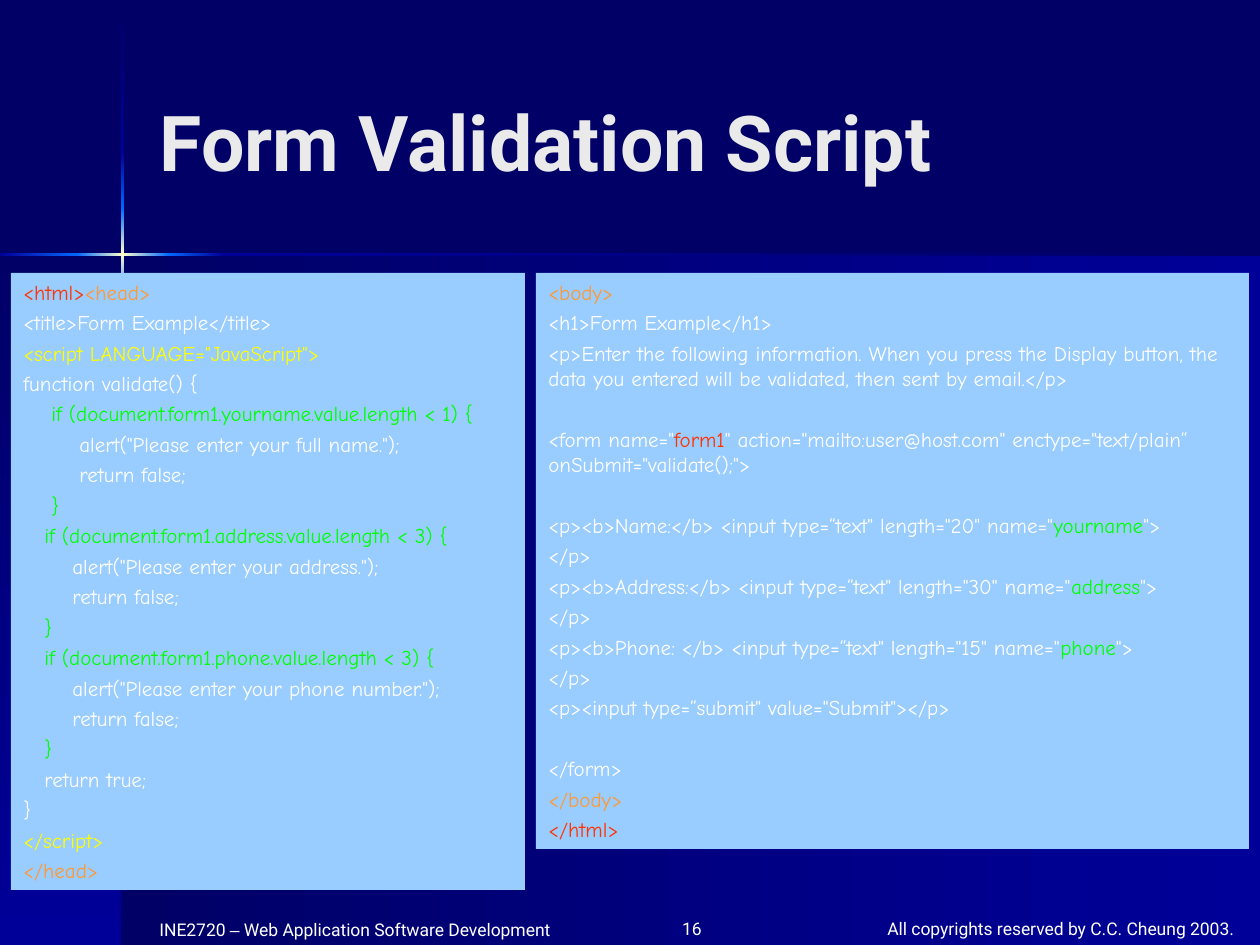
from copy import deepcopy
from pptx import Presentation
from pptx import util as u
from pptx.dml.color import RGBColor
from pptx.enum import shapes, text

NAVY = RGBColor(0x00, 0x00, 0x66)
DEEP = RGBColor(0x00, 0x00, 0x99)
BLUE = RGBColor(0x00, 0x66, 0xFF)
CREAM = RGBColor(0xFF, 0xFF, 0xCC)
SKY = RGBColor(0x99, 0xCC, 0xFF)
PALE = RGBColor(0xEA, 0xEA, 0xEA)
WHITE = RGBColor(0xFF, 0xFF, 0xFF)
RED = RGBColor(0xFF, 0x33, 0x00)
ORANGE = RGBColor(0xFF, 0x99, 0x33)
YELLOW = RGBColor(0xFF, 0xFF, 0x00)
GREEN = RGBColor(0x00, 0xFF, 0x00)

ACROSS, DOWN = 0, 270
SPACE = 7
NEAR, FAR = 3, 20.4

BARS = [
    ((122, 255, 1138, 690), ACROSS, (NAVY, DEEP)),
    ((0, 255, 122, 690), DOWN, (NAVY, DEEP)),
    ((121, 1, 3, 151), DOWN, (NAVY, DEEP)),
    ((121, 355, 3, 590), DOWN, (DEEP, NAVY)),
    ((223, 253, 1037, 3), ACROSS, (DEEP, NAVY)),
    ((121, 152, 3, 56), DOWN, (DEEP, BLUE)),
    ((121, 208, 3, 92), DOWN, (BLUE, CREAM, BLUE)),
    ((0, 253, 77, 3), ACROSS, (DEEP, BLUE)),
    ((169, 253, 54, 3), ACROSS, (BLUE, DEEP)),
    ((77, 253, 92, 3), ACROSS, (BLUE, CREAM, BLUE)),
]

TITLE = ("Form Validation Script", (147, 42, 1040, 198))

FOOTERS = [
    ((147, 913, 420, 32), text.PP_ALIGN.LEFT,
     [("INE2720 ", "Roboto"), ("–", "Arial"),
      (" Web Application Software Development", "Roboto")]),
    ((861, 912, 399, 33), text.PP_ALIGN.CENTER,
     [("All copyrights reserved by C.C. Cheung 2003.", "Roboto")]),
    ((630, 912, 84, 33), text.PP_ALIGN.RIGHT, [("16", "Roboto")]),
]

HEAD = [
    (0, NEAR, [("<html>", RED), ("<head>", ORANGE)]),
    (0, NEAR, [("<title>Form Example</title>", WHITE)]),
    (0, NEAR, [('<script LANGUAGE="JavaScript">', YELLOW)]),
    (0, NEAR, [("function validate() {", WHITE)]),
]
CHECKS = [
    (4, "yourname", 1, "full name"),
    (3, "address", 3, "address"),
    (3, "phone", 3, "phone number"),
]
for dent, field, least, label in CHECKS:
    HEAD += [
        (dent, NEAR,
         [(f"if (document.form1.{field}.value.length < {least}) {{", GREEN)]),
        (dent + 4, NEAR, [(f'alert("Please enter your {label}.");', WHITE)]),
        (dent + 4, NEAR, [("return false;", WHITE)]),
        (dent, NEAR, [("}", GREEN)]),
    ]
HEAD += [
    (3, NEAR, [("return true;", WHITE)]),
    (0, NEAR, [("}", WHITE)]),
    (0, NEAR, [("</script>", YELLOW)]),
    (0, NEAR, [("</head>", ORANGE)]),
]

BODY = [
    (0, NEAR, [("<body>", ORANGE)]),
    (0, NEAR, [("<h1>Form Example</h1>", WHITE)]),
    (0, NEAR, [("<p>Enter the following information. When you press the "
                "Display button, the data you entered will be validated, "
                "then sent by email.</p>", WHITE)]),
    (0, FAR, [('<form name="', WHITE), ("form1", RED),
              ('" action="mailto:user@host.com" enctype="text/plain“ '
               'onSubmit="validate();">', WHITE)]),
]
INPUTS = [
    (FAR, "Name:", 20, "yourname"),
    (NEAR, "Address:", 30, "address"),
    (NEAR, "Phone: ", 15, "phone"),
]
for gap, label, size, field in INPUTS:
    start = f'<p><b>{label}</b> <input type=“text" length="{size}" name="'
    BODY += [
        (0, gap, [(start, WHITE), (field, GREEN), ('">', WHITE)]),
        (0, NEAR, [("</p>", WHITE)]),
    ]
BODY += [
    (0, NEAR, [('<p><input type=“submit" value="Submit"></p>', WHITE)]),
    (0, FAR, [("</form>", WHITE)]),
    (0, NEAR, [("</body>", ORANGE)]),
    (0, NEAR, [("</html>", RED)]),
]

PANELS = [((11, 273, 514, 617), HEAD), ((536, 273, 713, 576), BODY)]


def px(n):
    return u.Emu(round(n * 914400 / 126))


def put(item, **vals):
    for key, val in vals.items():
        setattr(item, key, val)


def write(para, words, size, font, color, bold=False):
    run = para.add_run()
    run.text = words
    put(run.font, size=u.Pt(size), name=font, bold=bold)
    run.font.color.rgb = color


def block(slide, box):
    shape = slide.shapes.add_shape(
        shapes.MSO_SHAPE.RECTANGLE, *map(px, box))
    shape.shadow.inherit = False
    shape.line.fill.background()
    return shape


def draw_bar(slide, box, angle, tones):
    fill = block(slide, box).fill
    fill.gradient()
    fill.gradient_angle = angle
    if len(tones) == 3:
        last = fill.gradient_stops[1]._gs
        last.addprevious(deepcopy(last))
    for i, (stop, tone) in enumerate(zip(fill.gradient_stops, tones)):
        stop.position = i / (len(tones) - 1)
        stop.color.rgb = tone


def draw_code(slide, box, lines):
    shape = block(slide, box)
    shape.fill.solid()
    shape.fill.fore_color.rgb = SKY
    frame = shape.text_frame
    put(frame, word_wrap=True, vertical_anchor=text.MSO_ANCHOR.TOP,
        auto_size=text.MSO_AUTO_SIZE.SHAPE_TO_FIT_TEXT)
    for i, (dent, gap, runs) in enumerate(lines):
        para = frame.add_paragraph() if i else frame.paragraphs[0]
        put(para, alignment=text.PP_ALIGN.LEFT, space_before=u.Pt(gap))
        para._p.get_or_add_pPr().set("marL", str(px(dent * SPACE)))
        for words, tone in runs:
            write(para, words, 12, "Comic Neue", tone)


def main():
    deck = Presentation()
    put(deck, slide_width=px(1260), slide_height=px(945))
    slide = deck.slides.add_slide(deck.slide_layouts[5])
    slide.background.fill.solid()
    slide.background.fill.fore_color.rgb = NAVY
    for bar in BARS:
        draw_bar(slide, *bar)
    for box, align, runs in FOOTERS:
        frame = slide.shapes.add_textbox(*map(px, box)).text_frame
        frame.word_wrap = True
        para = frame.paragraphs[0]
        para.alignment = align
        for words, font in runs:
            write(para, words, 10, font, WHITE)
    words, box = TITLE
    title = slide.shapes.title
    put(title, **dict(zip(("left", "top", "width", "height"), map(px, box))))
    put(title.text_frame, vertical_anchor=text.MSO_ANCHOR.MIDDLE,
        word_wrap=True, auto_size=text.MSO_AUTO_SIZE.NONE)
    para = title.text_frame.paragraphs[0]
    para.alignment = text.PP_ALIGN.LEFT
    write(para, words, 44, "Roboto", PALE, True)
    slide.shapes._spTree.append(title._element)
    for panel in PANELS:
        draw_code(slide, *panel)
    deck.save("out.pptx")


if __name__ == "__main__":
    main()
